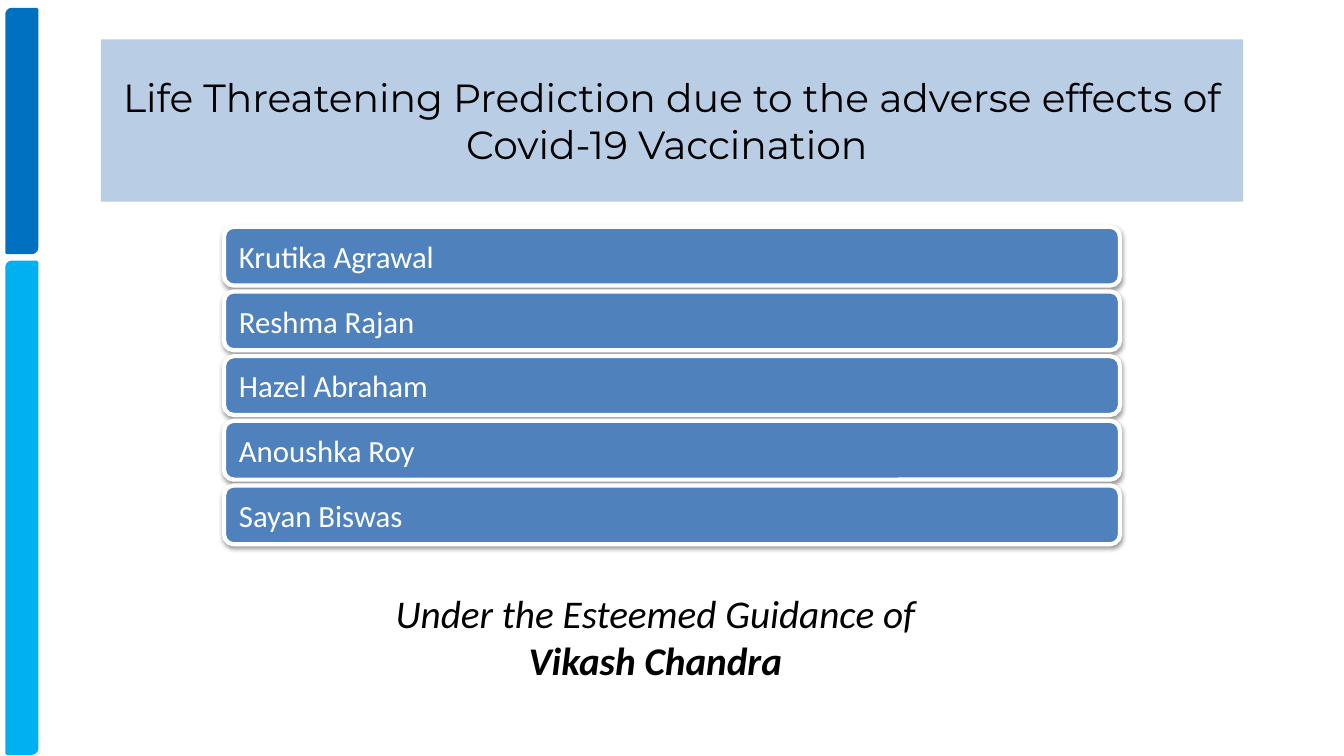
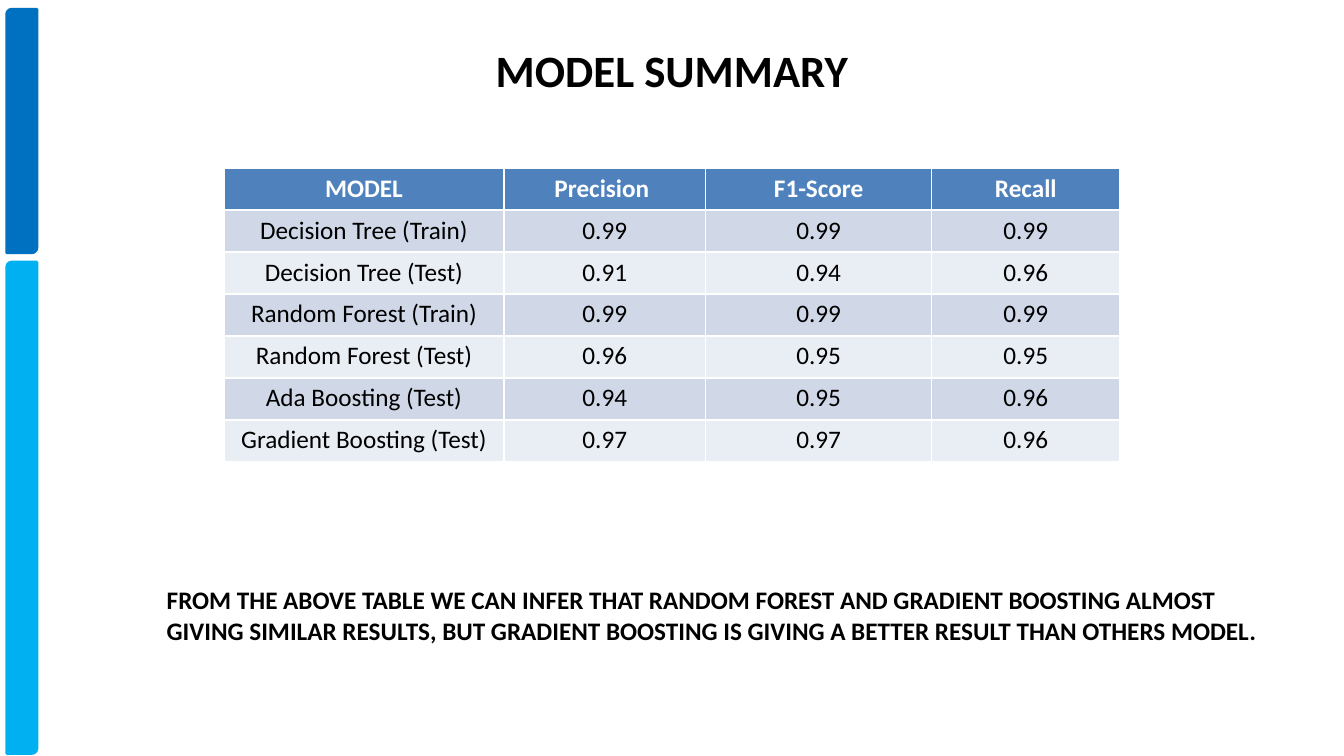
from dataclasses import dataclass
from typing import Optional

from lxml.etree import SubElement
from pptx import Presentation
from pptx.dml.color import RGBColor
from pptx.enum.shapes import MSO_SHAPE
from pptx.enum.text import MSO_ANCHOR, MSO_AUTO_SIZE, PP_ALIGN
from pptx.oxml.ns import qn
from pptx.util import Inches, Pt

SLIDE_WIDTH, SLIDE_HEIGHT = Inches(13.333), Inches(7.5)
COLUMN, ROW = SLIDE_WIDTH / 12, SLIDE_HEIGHT / 18

BLACK, WHITE = "000000", "FFFFFF"
DEEP_BLUE, SKY_BLUE = "0070C0", "00B0F0"
STEEL_BLUE, PALE_BLUE = "4F81BD", "B9CDE5"
STRIPES = ("D0D8E8", "E9EDF4")
BODY_FONT, COVER_FONT = "Calibri", "Montserrat"


@dataclass(frozen=True)
class Area:
    """A place on the grid of 12 columns and 18 rows."""
    column: float
    row: float
    columns: float
    rows: float

    def emu(self) -> tuple[int, int, int, int]:
        return (round(self.column * COLUMN), round(self.row * ROW),
                round(self.columns * COLUMN), round(self.rows * ROW))


@dataclass(frozen=True)
class Band:
    area: Area
    colour: str


@dataclass(frozen=True)
class ModelScore:
    model: str
    precision: str
    f1_score: str
    recall: str

    def cells(self) -> tuple[str, ...]:
        return self.model, self.precision, self.f1_score, self.recall


BANDS = (
    Band(Area(0.06, 0.22, 0.27, 5.8), DEEP_BLUE),
    Band(Area(0.06, 6.24, 0.27, 11.7), SKY_BLUE),
)
AUTHORS = ("Krutika Agrawal", "Reshma Rajan", "Hazel Abraham", "Anoushka Roy", "Sayan Biswas")
AUTHOR_TOP, AUTHOR_PITCH, AUTHOR_HEIGHT = 5.4, 1.54, 1.4

SCORE_HEADING = ModelScore("MODEL", "Precision ", "F1-Score", "Recall")
SCORES = (
    ModelScore("Decision Tree (Train)", "0.99", "0.99", "0.99"),
    ModelScore("Decision Tree (Test)", "0.91", "0.94", "0.96"),
    ModelScore("Random Forest (Train)", "0.99", "0.99", "0.99"),
    ModelScore("Random Forest (Test)", "0.96", "0.95", "0.95"),
    ModelScore("Ada Boosting (Test)", "0.94", "0.95", "0.96"),
    ModelScore("Gradient Boosting (Test)", "0.97", "0.97", "0.96"),
)
SCORE_COLUMNS = (2.5, 1.8, 2.02, 1.68)


def rgb(colour: str) -> RGBColor:
    return RGBColor.from_string(colour)


def write(frame, text: str, *, size: float = 18, font: str = BODY_FONT, colour: str = BLACK,
          bold: bool = False, italic: bool = False, align=PP_ALIGN.LEFT) -> None:
    """Fill the first paragraph if it is empty, otherwise add another one."""
    first = frame.paragraphs[0]
    paragraph = frame.add_paragraph() if first.runs else first
    paragraph.alignment = align
    run = paragraph.add_run()
    run.text = text
    run.font.size, run.font.name = Pt(size), font
    run.font.bold, run.font.italic = bold, italic
    run.font.color.rgb = rgb(colour)


def add_block(slide, preset, area: Area, fill: str, line: str, line_width: float):
    block = slide.shapes.add_shape(preset, *area.emu())
    block.shadow.inherit = False
    block.fill.solid()
    block.fill.fore_color.rgb = rgb(fill)
    block.line.color.rgb = rgb(line)
    block.line.width = Pt(line_width)
    return block


def add_soft_shadow(block) -> None:
    effects = block.element.spPr.find(qn("a:effectLst"))
    shadow = SubElement(effects, qn("a:outerShdw"), blurRad="40000", dist="20000",
                        dir="5400000", rotWithShape="0")
    tint = SubElement(shadow, qn("a:srgbClr"), val=BLACK)
    SubElement(tint, qn("a:alpha"), val="38000")


def add_text_area(slide, area: Area):
    frame = slide.shapes.add_textbox(*area.emu()).text_frame
    frame.word_wrap = True
    return frame


def set_title(slide, text: str, area: Area, fill: Optional[str] = None, **text_format) -> None:
    title = slide.shapes.title
    title.left, title.top, title.width, title.height = area.emu()
    if fill:
        title.fill.solid()
        title.fill.fore_color.rgb = rgb(fill)
    frame = title.text_frame
    frame.auto_size = MSO_AUTO_SIZE.NONE
    frame.vertical_anchor = MSO_ANCHOR.MIDDLE
    write(frame, text, align=PP_ALIGN.CENTER, **text_format)


def share_bands(slide) -> None:
    """Draw the side bands and move them to the layout, so every slide shows them."""
    layout_tree = slide.slide_layout.shapes.element
    for number, band in enumerate(BANDS):
        block = add_block(slide, MSO_SHAPE.ROUND_2_DIAG_RECTANGLE, band.area,
                          band.colour, band.colour, 2)
        block.element.nvSpPr.cNvPr.set("id", str(20 + number))
        layout_tree.append(block.element)


def add_author(slide, position: int, author: str) -> None:
    area = Area(2, AUTHOR_TOP + position * AUTHOR_PITCH, 8, AUTHOR_HEIGHT)
    bar = add_block(slide, MSO_SHAPE.ROUNDED_RECTANGLE, area, STEEL_BLUE, WHITE, 3)
    add_soft_shadow(bar)
    frame = bar.text_frame
    frame.margin_left = Inches(0.12)
    frame.vertical_anchor = MSO_ANCHOR.MIDDLE
    write(frame, author, size=22, colour=WHITE)


def add_scores(slide) -> None:
    rows = (SCORE_HEADING, *SCORES)
    area = Area(2, 4, sum(SCORE_COLUMNS), len(rows))
    table = slide.shapes.add_table(len(rows), len(SCORE_COLUMNS), *area.emu()).table
    for column, columns in zip(table.columns, SCORE_COLUMNS):
        column.width = round(columns * COLUMN)
    for index, score in enumerate(rows):
        heading = index == 0
        fill = STEEL_BLUE if heading else STRIPES[(index - 1) % 2]
        for cell, text in zip(table.rows[index].cells, score.cells()):
            cell.fill.solid()
            cell.fill.fore_color.rgb = rgb(fill)
            write(cell.text_frame, text, bold=heading, align=PP_ALIGN.CENTER,
                  colour=WHITE if heading else BLACK)


def build_cover(slide) -> None:
    set_title(slide, "Life Threatening Prediction due to the adverse effects of "
              "Covid-19 Vaccination ", Area(0.9, 0.94, 10.2, 3.86), PALE_BLUE,
              size=28, font=COVER_FONT)
    for position, author in enumerate(AUTHORS):
        add_author(slide, position, author)
    guidance = add_text_area(slide, Area(1.89, 13.92, 8, 2.5))
    guidance_format = dict(size=28, italic=True, align=PP_ALIGN.CENTER)
    write(guidance, "Under the Esteemed Guidance of ", **guidance_format)
    write(guidance, "Vikash Chandra ", bold=True, **guidance_format)


def build_summary(slide) -> None:
    set_title(slide, "MODEL SUMMARY", Area(1.8, 0.91, 8.4, 1.5), size=32, bold=True)
    conclusion = add_text_area(slide, Area(1.4, 13.8, 10.15, 2.42))
    write(conclusion, "FROM THE ABOVE TABLE WE CAN INFER THAT RANDOM FOREST AND GRADIENT "
          "BOOSTING ALMOST GIVING SIMILAR RESULTS, BUT GRADIENT BOOSTING IS GIVING A "
          "BETTER RESULT THAN OTHERS MODEL.", bold=True)
    add_scores(slide)


def main() -> None:
    deck = Presentation()
    deck.slide_width, deck.slide_height = SLIDE_WIDTH, SLIDE_HEIGHT
    title_only = deck.slide_layouts[5]
    cover, summary = (deck.slides.add_slide(title_only) for _ in range(2))
    share_bands(cover)
    build_cover(cover)
    build_summary(summary)
    deck.save("out.pptx")


if __name__ == "__main__":
    main()
